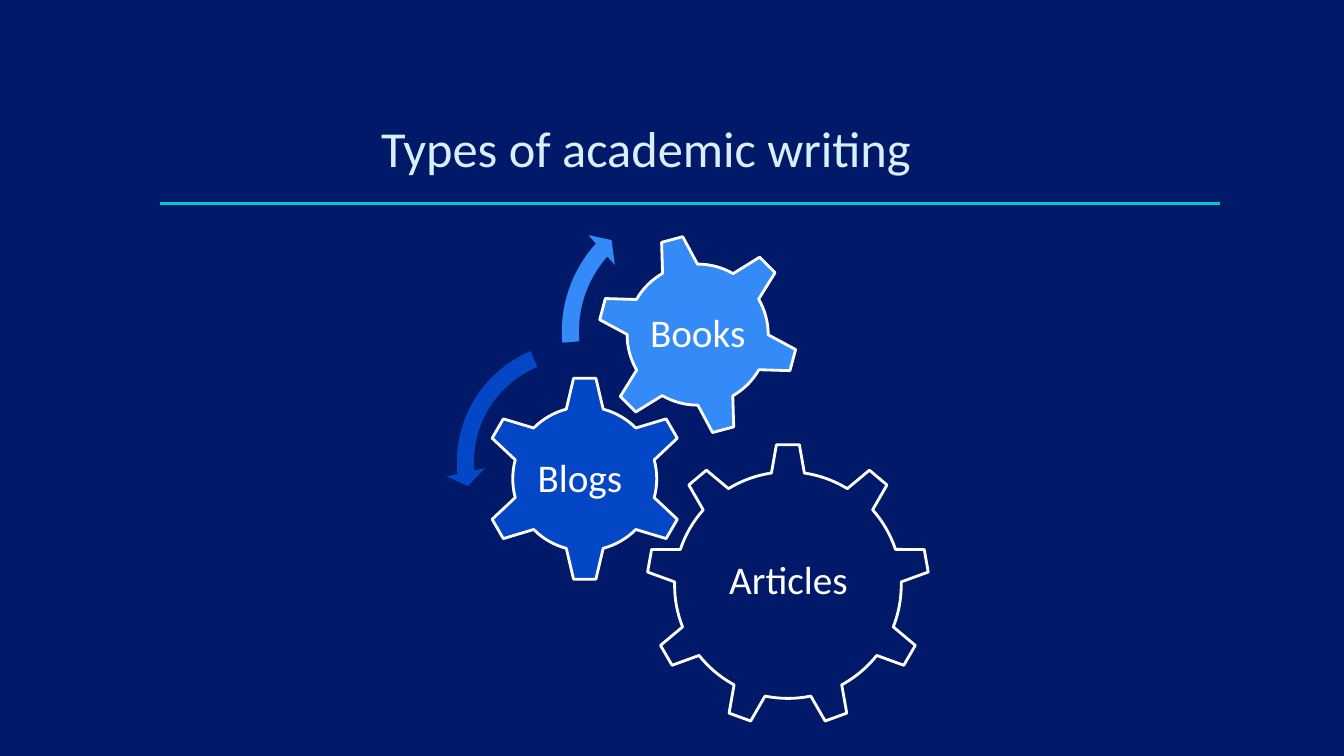
from lxml.etree import SubElement
from pptx import Presentation
from pptx.dml.color import RGBColor
from pptx.enum.shapes import MSO_CONNECTOR, MSO_SHAPE
from pptx.enum.text import MSO_ANCHOR, MSO_AUTO_SIZE, PP_ALIGN
from pptx.oxml.ns import qn
from pptx.util import Inches, Pt

COLORS = {
    "navy": "001A69",
    "blue": "0447C6",
    "sky": "348AF7",
    "teal": "00CCC5",
    "title": "D9EEFF",
    "white": "FFFFFF",
}
FONT = "Calibri"

# gear, left, top, size, rotation, fill, label, label box relative to the gear
GEARS = [
    (MSO_SHAPE.GEAR_9, 6.41, 4.4, 2.81, 0, "navy", "Articles", (0.57, 0.65, 1.68, 1.44)),
    (MSO_SHAPE.GEAR_6, 4.78, 3.73, 2.04, 0, "blue", "Blogs ", (0.51, 0.52, 1.01, 1.01)),
    (MSO_SHAPE.GEAR_6, 5.92, 2.32, 2, 345, "sky", "Books", (0.44, 0.44, 1.12, 1.12)),
]

# arrow, left, top, size, fill, adjustments
ARROWS = [
    (MSO_SHAPE.LEFT_CIRCULAR_ARROW, 4.42, 3.28, 2.61, "blue",
     (0.065, 4.3, 104.89, 148.38, 0.075)),
    (MSO_SHAPE.CIRCULAR_ARROW, 5.46, 1.88, 2.82, "sky",
     (0.06, 3.94, 133.14, 105.08, 0.07)),
]


def rgb(name):
    return RGBColor.from_string(COLORS[name])


def write(shape, text, size, color, align, anchor, inset, spacing):
    tf = shape.text_frame
    tf.word_wrap = True
    tf.auto_size = MSO_AUTO_SIZE.NONE
    tf.vertical_anchor = anchor
    tf.margin_left = tf.margin_right = Inches(inset)
    tf.margin_top = tf.margin_bottom = Inches(inset)
    p = tf.paragraphs[0]
    p.alignment = align
    p.line_spacing = spacing
    p.space_before = Pt(0)
    r = p.add_run()
    r.text = text
    r.font.name = FONT
    r.font.size = Pt(size)
    r.font.color.rgb = rgb(color)


def add_header(s, left, top, width, height):
    # Title
    title = s.shapes.title
    title.left, title.top = Inches(left), Inches(top)
    title.width, title.height = Inches(width), Inches(height)
    write(title, "Types of academic writing", 36, "title",
          PP_ALIGN.LEFT, MSO_ANCHOR.BOTTOM, 0.06, 0.8)
    # Rule below the title
    y = Inches(top + height + 0.2)
    rule = s.shapes.add_connector(MSO_CONNECTOR.STRAIGHT, Inches(1.59), y, Inches(12.1), y)
    rule.line.color.rgb = rgb("teal")
    rule.line.width = Pt(2.5)
    SubElement(rule.element.spPr, qn("a:effectLst"))


def add_filled(s, kind, left, top, size, fill):
    sp = s.shapes.add_shape(kind, Inches(left), Inches(top), Inches(size), Inches(size))
    sp.shadow.inherit = False
    sp.fill.solid()
    sp.fill.fore_color.rgb = rgb(fill)
    sp.line.fill.background()
    return sp


def add_gear(s, kind, left, top, size, rotation, fill, label, box):
    gear = add_filled(s, kind, left, top, size, fill)
    gear.rotation = rotation
    gear.line.color.rgb = rgb("white")
    gear.line.width = Pt(2)
    # Upright label
    dx, dy, width, height = box
    tb = s.shapes.add_textbox(Inches(left + dx), Inches(top + dy),
                              Inches(width), Inches(height))
    write(tb, label, 28, "white", PP_ALIGN.CENTER, MSO_ANCHOR.MIDDLE, 0.04, 0.9)


def add_arrow(s, kind, left, top, size, fill, adjustments):
    arrow = add_filled(s, kind, left, top, size, fill)
    for i, value in enumerate(adjustments):
        arrow.adjustments[i] = value


def main():
    prs = Presentation()
    prs.slide_width, prs.slide_height = Inches(13.33), Inches(7.5)
    s = prs.slides.add_slide(prs.slide_layouts[5])
    s.background.fill.solid()
    s.background.fill.fore_color.rgb = rgb("navy")

    add_header(s, 3.72, 1.19, 9.09, 0.63)
    for gear in GEARS:
        add_gear(s, *gear)
    for arrow in ARROWS:
        add_arrow(s, *arrow)
    prs.save("out.pptx")


if __name__ == "__main__":
    main()
